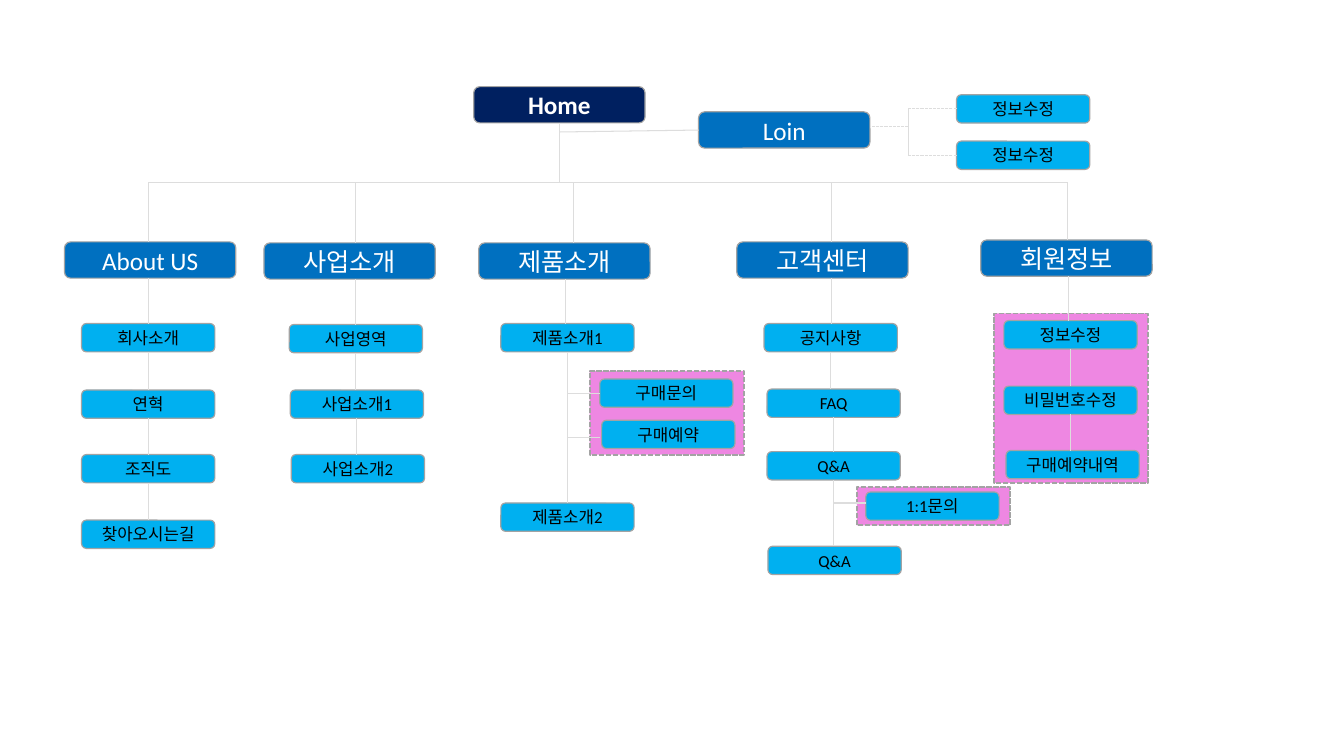
from itertools import pairwise

from lxml.etree import SubElement
from pptx import Presentation
from pptx.dml.color import RGBColor
from pptx.enum.dml import MSO_LINE_DASH_STYLE as Dash
from pptx.enum.shapes import MSO_CONNECTOR as Connector, MSO_SHAPE as Shape
from pptx.enum.text import MSO_ANCHOR as Anchor, PP_ALIGN as Align
from pptx.oxml.ns import qn
from pptx.util import Pt

NAVY = RGBColor(0x00, 0x20, 0x60)
BLUE = RGBColor(0x00, 0x70, 0xC0)
SKY = RGBColor(0x00, 0xB0, 0xF0)
PINK = RGBColor(0xDF, 0x11, 0xC6)
GREY = RGBColor(0xA3, 0xA3, 0xA3)
PALE = RGBColor(0xDD, 0xDD, 0xDD)
WHITE = RGBColor(0xFF, 0xFF, 0xFF)
BLACK = RGBColor(0x00, 0x00, 0x00)

MENU_W, MENU_H = 122.4, 25.9
PAGE_W, PAGE_H = 95.2, 20.2
BUS_Y = 130.3


class Sitemap:
    font = "Calibri"

    def __init__(self, slide):
        self.shapes = slide.shapes

    def block(self, kind, left, top, width, height, fill, line_width):
        block = self.shapes.add_shape(kind, Pt(left), Pt(top), Pt(width), Pt(height))
        block.shadow.inherit = False
        block.fill.solid()
        block.fill.fore_color.rgb = fill
        block.line.color.rgb = GREY
        block.line.width = Pt(line_width)
        return block

    def group(self, left, top, width, height):
        """Half-transparent dashed area behind related pages."""
        area = self.block(Shape.RECTANGLE, left, top, width, height, PINK, 1.25)
        area.line.dash_style = Dash.SQUARE_DOT
        color = area.fill._xPr.find(qn("a:solidFill"))[0]
        SubElement(color, qn("a:alpha"), val="50000")

    def label(self, text, left, top, width, height, fill, size, color, bold=False):
        box = self.block(Shape.ROUNDED_RECTANGLE, left, top, width, height, fill, 0.85)
        frame = box.text_frame
        frame.margin_left = frame.margin_right = 0
        frame.margin_top = frame.margin_bottom = 0
        frame.word_wrap = True
        frame.vertical_anchor = Anchor.MIDDLE
        paragraph = frame.paragraphs[0]
        paragraph.text = text
        paragraph.alignment = Align.CENTER
        font = paragraph.font
        font.name, font.size, font.bold = self.font, Pt(size), bold
        font.color.rgb = color

    def menu(self, text, left, top, fill=BLUE, bold=False):
        self.label(text, left, top, MENU_W, MENU_H, fill, 18, WHITE, bold)

    def page(self, text, left, top):
        self.label(text, left, top, PAGE_W, PAGE_H, SKY, 12, BLACK)

    def link(self, x1, y1, x2, y2, dashed=False):
        link = self.shapes.add_connector(Connector.STRAIGHT, Pt(x1), Pt(y1), Pt(x2), Pt(y2))
        link.line.color.rgb = PALE
        link.line.width = Pt(0.75)
        if dashed:
            link.line.dash_style = Dash.SQUARE_DOT
        SubElement(link._element.spPr, qn("a:effectLst"))


# Menu, left, top, x of the line above, x of the line below, pages
COLUMNS = [
    ("About US", 46.1, 172.8, 105.8, 105.8,
     [("회사소개", 58.3, 231.1), ("연혁", 58.3, 278.6),
      ("조직도", 58.3, 324.7), ("찾아오시는길", 58.3, 371.5)]),
    ("사업소개", 188.6, 173.5, 254.2, 254.2,
     [("사업영역", 206.6, 231.8), ("사업소개1", 207.4, 278.6), ("사업소개2", 208.1, 324.7)]),
    ("제품소개", 342, 173.5, 409.7, 403.9,
     [("제품소개1", 357.8, 231.1), ("제품소개2", 357.8, 359.3)]),
    ("고객센터", 526.3, 172.8, 594, 594,
     [("공지사항", 545.8, 231.1), ("FAQ", 547.9, 277.9),
      ("Q&A", 547.9, 322.6), ("Q&A", 548.6, 390.2)]),
    ("회원정보", 700.6, 171.4, 762.5, 763.2,
     [("정보수정", 717.1, 229), ("비밀번호수정", 717.1, 275.8), ("구매예약내역", 718.6, 321.8)]),
]
SUBPAGES = [("구매문의", 428.4, 270.7), ("구매예약", 429.8, 300.2), ("1:1문의", 618.5, 351.4)]
LOGIN_PAGES = [("정보수정", 683.3, 67.7), ("정보수정", 683.3, 100.8)]
GROUPS = [(421.2, 265, 110.2, 59.8), (612, 347.8, 109.4, 27.4), (709.9, 223.9, 110.2, 121)]
BRANCHES = [(405.4, 280.8), (405.4, 312.5), (595.4, 359.3)]


def main():
    deck = Presentation()
    deck.slide_width, deck.slide_height = Pt(960), Pt(540)
    sitemap = Sitemap(deck.slides.add_slide(deck.slide_layouts[6]))

    # Areas behind the pages
    for area in GROUPS:
        sitemap.group(*area)

    # Menus and pages
    sitemap.menu("Home", 338.4, 61.9, NAVY, bold=True)
    sitemap.menu("Loin", 499, 79.9)
    for menu, left, top, _, _, pages in COLUMNS:
        sitemap.menu(menu, left, top)
        for page in pages:
            sitemap.page(*page)
    for page in SUBPAGES + LOGIN_PAGES:
        sitemap.page(*page)

    # Home trunk, bus and login
    home_x, fork_x = 399.6, 648.7
    sitemap.link(home_x, 87.8, home_x, BUS_Y)
    for start, end in pairwise([105.8, home_x, 594, 762.5]):
        sitemap.link(start, BUS_Y, end, BUS_Y)
    sitemap.link(499, 92.9, home_x, 94.3)
    sitemap.link(fork_x, 90.7, 621.4, 90.7, dashed=True)
    for _, left, top in LOGIN_PAGES:
        sitemap.link(left, top + PAGE_H / 2, fork_x, top + PAGE_H / 2, dashed=True)
    sitemap.link(fork_x, 78.1, fork_x, 110.9)

    # Lines down each column
    for _, _, top, drop_x, stem_x, pages in COLUMNS:
        sitemap.link(drop_x, BUS_Y, drop_x, top)
        sitemap.link(stem_x, top + MENU_H, stem_x, pages[0][2])
        for (_, left, upper), (_, _, lower) in pairwise(pages):
            center = left + PAGE_W / 2
            sitemap.link(center, upper + PAGE_H, center, lower)

    # Branches to subpages
    for x, y in BRANCHES:
        sitemap.link(x, y, x + 23, y)

    deck.save("out.pptx")


if __name__ == "__main__":
    main()
